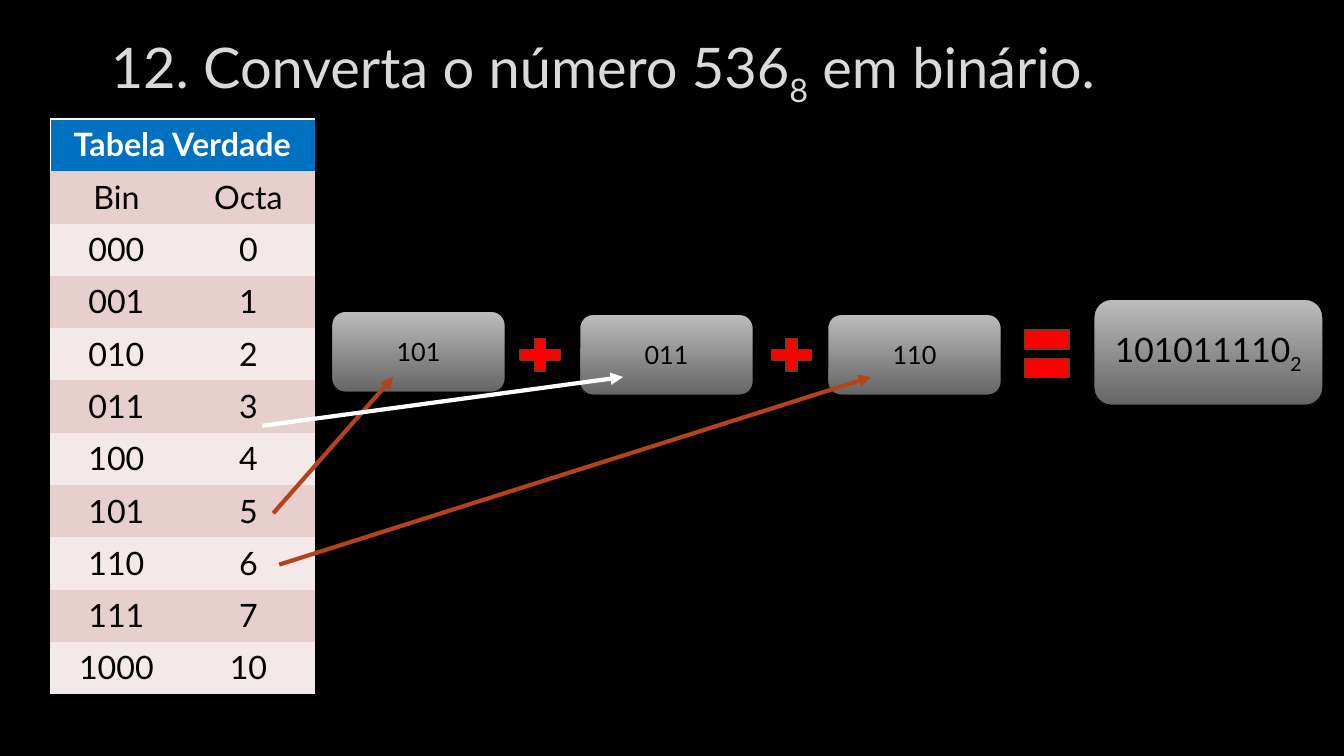
from dataclasses import dataclass

from lxml.etree import SubElement
from pptx import Presentation
from pptx.dml.color import RGBColor as Rgb
from pptx.enum.shapes import MSO_CONNECTOR as Link, MSO_SHAPE as Shape
from pptx.enum.text import MSO_ANCHOR as Anchor, PP_ALIGN as Align
from pptx.oxml import parse_xml
from pptx.oxml.ns import nsdecls, qn
from pptx.util import Inches, Pt

# Content: a tuple is (text, subscript, rest)
TITLE = ("12. Converta o número 536", "8", " em binário.")
TABLE_TITLE = "Tabela Verdade"
TABLE_ROWS = [("Bin", "Octa")] + [(f"{n:03b}", f"{n:o}") for n in range(9)]
DIGITS = ["101", "011", "110"]
RESULT = ("101011110", "2", "")


@dataclass(frozen=True)
class Theme:
    font: str = "Lato"
    background: str = "000000"
    title: str = "DADADA"
    header: str = "0070C0"
    bands: tuple = ("E7CFCD", "F3E9E8")
    light: str = "FFFFFF"
    dark: str = "000000"
    card: tuple = ("BCBCBC", "656565")
    sign: str = "FF0000"
    sign_edge: str = "8B3314"
    arrow: str = "B4421A"
    title_size: int = 40
    table_size: int = 23
    result_size: int = 24
    digit_size: int = 18


THEME = Theme()
NO_TABLE_STYLE = "{2D5ABB26-0587-4C30-8999-92F81FD0307C}"

# Grid, in inches
TABLE_LEFT, TABLE_TOP, COLUMN, ROW = 0.5, 1.18, 1.31, 0.519
CARD_LEFT, CARD_PITCH, CARD_WIDTH, CARD_HEIGHT = 3.29, 2.46, 1.72, 0.8
CARD_TOPS = [3.09, 3.12, 3.12]
SIGN_LEFT, SIGN_PITCH = 5.09, 2.49
ARROW_TIP_Y = 3.74
# Arrows: octal digit, card, start x, start below row centre, tip inside card, colour
ARROWS = [
    (6, 2, 2.77, 0.01, 0.43, THEME.arrow),
    (5, 0, 2.71, 0.02, 0.61, THEME.arrow),
    (3, 1, 2.6, 0.19, 0.43, THEME.light),
]

deck = Presentation()
deck.slide_width, deck.slide_height = Inches(13.33), Inches(7.5)
slide = deck.slides.add_slide(deck.slide_layouts[6])
slide.background.fill.solid()
slide.background.fill.fore_color.rgb = Rgb.from_string(THEME.background)


def write(frame, parts, size, color, align=Align.CENTER, bold=False):
    paragraph = frame.paragraphs[0]
    for index, text in enumerate(parts):
        if text:
            run = paragraph.add_run()
            run.text = text
            if index == 1:
                run.font._element.set("baseline", "-25000")
    paragraph.alignment = align
    font = paragraph.font
    font.name, font.size, font.bold = THEME.font, Pt(size), bold
    font.color.rgb = Rgb.from_string(color)


def fill_cell(cell, text, fill, color, bold=False):
    cell.fill.solid()
    cell.fill.fore_color.rgb = Rgb.from_string(fill)
    cell.margin_left = cell.margin_right = Inches(0.13)
    cell.margin_top = cell.margin_bottom = Inches(0.06)
    write(cell.text_frame, [text], THEME.table_size, color, bold=bold)


def add_block(kind, box, edge, width):
    block = slide.shapes.add_shape(kind, *map(Inches, box))
    block.shadow.inherit = False
    block.line.color.rgb = Rgb.from_string(edge)
    block.line.width = Pt(width)
    return block


def add_card(box, parts, size):
    card = add_block(Shape.ROUNDED_RECTANGLE, box, THEME.dark, 0.75)
    card.fill.gradient()
    card.fill.gradient_angle = 270
    for position, (stop, color) in enumerate(zip(card.fill.gradient_stops, THEME.card)):
        stop.position = position
        stop.color.rgb = Rgb.from_string(color)
    card.text_frame.vertical_anchor = Anchor.MIDDLE
    write(card.text_frame, parts, size, THEME.dark)


def add_sign(kind, box):
    sign = add_block(kind, box, THEME.sign_edge, 1.25)
    sign.fill.solid()
    sign.fill.fore_color.rgb = Rgb.from_string(THEME.sign)


# Title
heading = slide.shapes.add_textbox(*map(Inches, (1, 0.15, 11.32, 1.1))).text_frame
heading.word_wrap = True
heading.vertical_anchor = Anchor.MIDDLE
write(heading, TITLE, THEME.title_size, THEME.title, Align.LEFT)

# Truth table
row_count = len(TABLE_ROWS) + 1
table_box = (TABLE_LEFT, TABLE_TOP, 2 * COLUMN, row_count * ROW)
table = slide.shapes.add_table(row_count, 2, *map(Inches, table_box)).table
table._tbl.tblPr.find(qn("a:tableStyleId")).text = NO_TABLE_STYLE
table.cell(0, 0).merge(table.cell(0, 1))
fill_cell(table.cell(0, 0), TABLE_TITLE, THEME.header, THEME.light, bold=True)
for column, sides in enumerate(["LT", "RT"]):
    properties = table.cell(0, column)._tc.get_or_add_tcPr()
    for index, side in enumerate(sides):
        properties.insert(index, parse_xml(
            f'<a:ln{side} w="12700" {nsdecls("a")}><a:solidFill>'
            f'<a:srgbClr val="{THEME.light}"/></a:solidFill></a:ln{side}>'))
for row, values in enumerate(TABLE_ROWS, start=1):
    for column, value in enumerate(values):
        fill_cell(table.cell(row, column), value, THEME.bands[(row - 1) % 2], THEME.dark)

# Binary groups, signs and result
for index, (digit, top) in enumerate(zip(DIGITS, CARD_TOPS)):
    left = CARD_LEFT + index * CARD_PITCH
    add_card((left, top, CARD_WIDTH, CARD_HEIGHT), [digit], THEME.digit_size)
for index in range(len(DIGITS) - 1):
    add_sign(Shape.MATH_PLUS, (SIGN_LEFT + index * SIGN_PITCH, 3.3, 0.54, 0.44))
add_sign(Shape.MATH_EQUAL, (10.09, 3.11, 0.59, 0.8))
add_card((10.85, 2.97, 2.27, 1.05), RESULT, THEME.result_size)

# Arrows from table rows to groups
for digit, card, start_x, drop, inset, color in ARROWS:
    start_y = TABLE_TOP + (digit + 2.5) * ROW + drop
    tip_x = CARD_LEFT + card * CARD_PITCH + inset
    arrow = slide.shapes.add_connector(
        Link.STRAIGHT, *map(Inches, (start_x, start_y, tip_x, ARROW_TIP_Y)))
    arrow.line.color.rgb = Rgb.from_string(color)
    arrow.line.width = Pt(3)
    SubElement(arrow.line._get_or_add_ln(), qn("a:tailEnd"), type="triangle")
    SubElement(arrow._element.spPr, qn("a:effectLst"))

deck.save("out.pptx")
